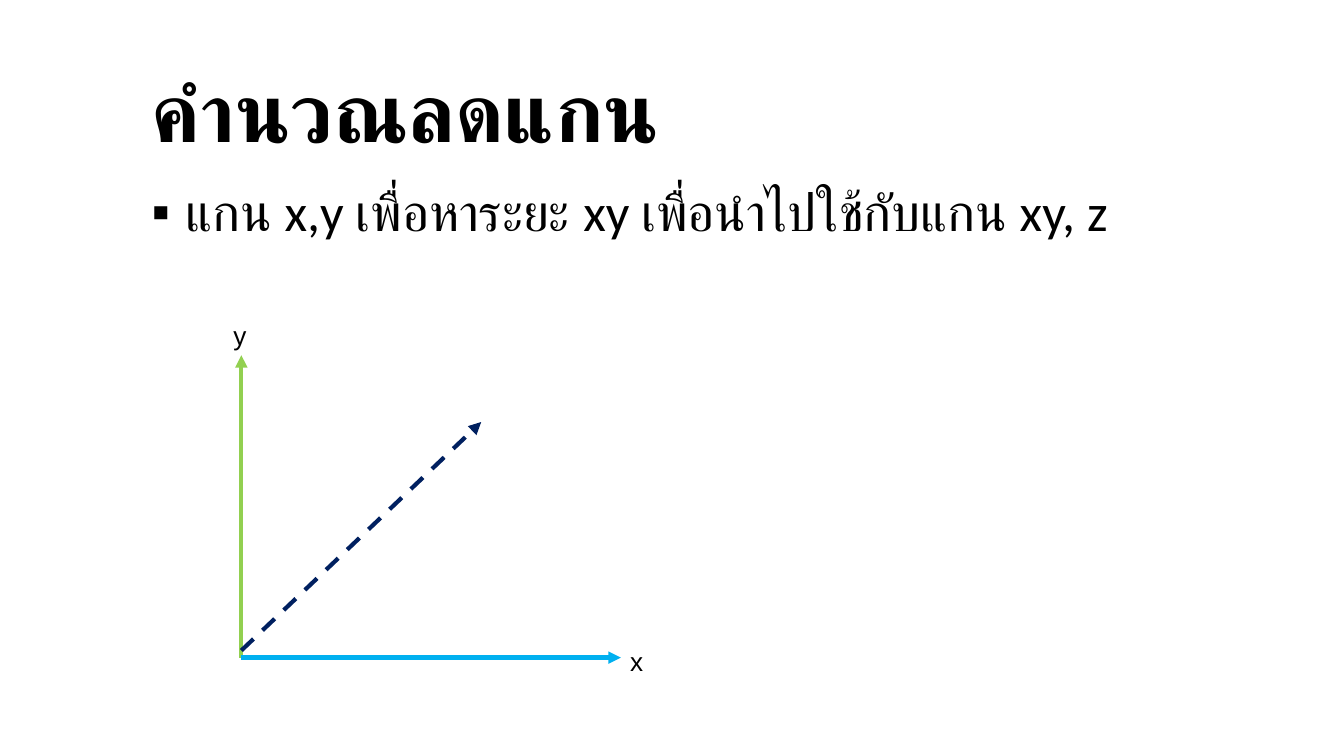
"""Build a slide that shows how the x and y axes reduce to one xy distance."""
from dataclasses import dataclass
from typing import Any

from lxml import etree
from pptx import Presentation
from pptx.dml.color import RGBColor
from pptx.enum import dml, shapes, text
from pptx.oxml import ns
from pptx.util import Pt

COLORS = {"ink": "000000", "x": "00B0F0", "y": "92D050", "xy": "002060"}


@dataclass
class AxisSlide:
    """Style and drawing methods for the current slide."""

    slide: Any
    heading_font: str = "Calibri"
    label_font: str = "Arial"
    line_width: float = 2.25

    def words(self, content, box, size, font, bold=False, bullet=None,
              spacing=None, anchor=text.MSO_ANCHOR.TOP):
        """Add a text box with one paragraph."""
        frame = self.slide.shapes.add_textbox(*map(Pt, box)).text_frame
        frame.word_wrap = True
        frame.vertical_anchor = anchor
        paragraph = frame.paragraphs[0]
        paragraph.text = content
        if bullet:
            properties = paragraph._p.get_or_add_pPr()
            properties.set("marL", str(Pt(18)))
            properties.set("indent", str(-Pt(18)))
            etree.SubElement(properties, ns.qn("a:buFont"), typeface=self.label_font)
            etree.SubElement(properties, ns.qn("a:buChar"), char=bullet)
        if spacing:
            paragraph.line_spacing = spacing
        for run in paragraph.runs:
            run.font.name = font
            run.font.size = Pt(size)
            run.font.bold = bold
            run.font.color.rgb = RGBColor.from_string(COLORS["ink"])

    def heading(self, content, box):
        """Add the bold slide title."""
        self.words(content, box, 44, self.heading_font, bold=True,
                   spacing=0.9, anchor=text.MSO_ANCHOR.MIDDLE)

    def point(self, content, box):
        """Add a bulleted statement."""
        self.words(content, box, 28, self.heading_font, bullet="▪", spacing=0.9)

    def label(self, content, left, top):
        """Add the name of an axis."""
        self.words(content, (left, top, 75, 45), 14, self.label_font)

    def arrow(self, start, end, color, dashed=False):
        """Add a straight arrow."""
        vector = self.slide.shapes.add_connector(
            shapes.MSO_CONNECTOR.STRAIGHT, *map(Pt, (*start, *end)))
        vector.line.color.rgb = RGBColor.from_string(COLORS[color])
        vector.line.width = Pt(self.line_width)
        if dashed:
            vector.line.dash_style = dml.MSO_LINE.DASH
        etree.SubElement(vector.line._get_or_add_ln(), ns.qn("a:tailEnd"), type="triangle")
        etree.SubElement(vector._element.spPr, ns.qn("a:effectLst"))


def main():
    """Compose and save the slide."""
    deck = Presentation()
    deck.slide_width, deck.slide_height = Pt(720), Pt(405)
    axes = AxisSlide(deck.slides.add_slide(deck.slide_layouts[6]))

    axes.heading("คำนวณลดแกน", (74.2, 29.5, 553.7, 64.8))
    axes.point("แกน x,y เพื่อหาระยะ xy เพื่อนำไปใช้กับแกน xy, z",
               (74.2, 96.5, 571, 268.5))

    origin_x, origin_y = 129.3, 352.3
    origin = (origin_x, origin_y)
    axes.arrow(origin, (origin_x, 190.3), "y")
    axes.arrow(origin, (332.6, origin_y), "x")
    axes.arrow((origin_x, 348.5), (257.8, 226.1), "xy", dashed=True)
    axes.label("x", 330.5, 342)
    axes.label("y", 118, 167.8)

    deck.save("out.pptx")


if __name__ == "__main__":
    main()
